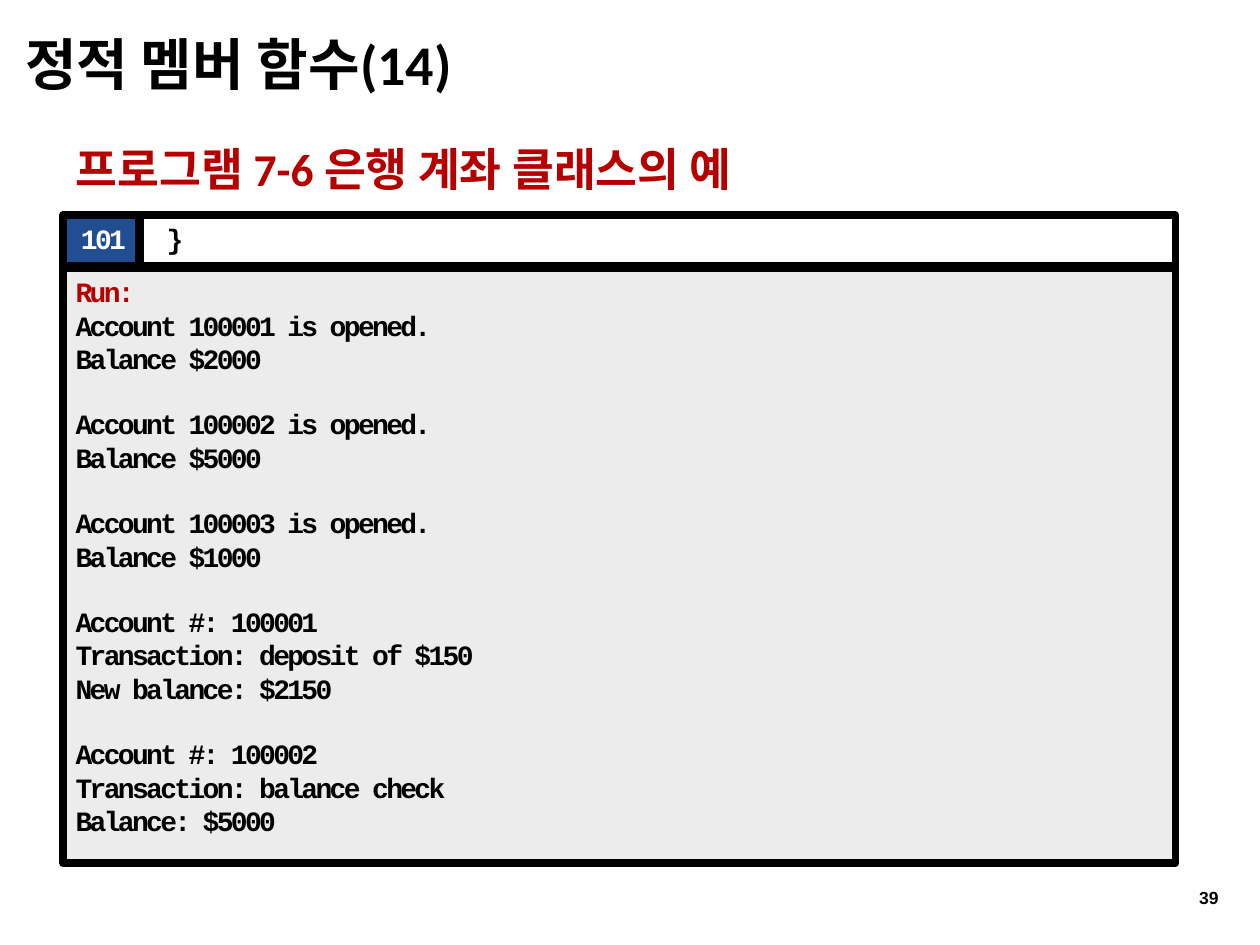
"""Build the slide with the run output of the bank account program."""
from lxml import etree
from pptx import Presentation
from pptx.dml.color import RGBColor
from pptx.enum import text
from pptx.oxml import ns
from pptx.util import Inches, Pt


def color(value):
    return RGBColor.from_string(value)


def write(part, box, lines, style, tracking=None):
    part.left, part.top, part.width, part.height = map(Inches, box)
    frame = part.text_frame
    frame.word_wrap = True
    frame.auto_size = text.MSO_AUTO_SIZE.NONE
    frame.vertical_anchor = style["anchor"]
    for number, (words, ink, before) in enumerate(lines):
        line = frame.paragraphs[0] if number == 0 else frame.add_paragraph()
        formats = {"alignment": style["align"], "line_spacing": 1.0,
                   "space_before": Pt(before), "space_after": Pt(style.get("after", 0))}
        for name, value in formats.items():
            setattr(line, name, value)
        properties = line._p.get_or_add_pPr()
        properties.set("marL", str(Inches(style.get("indent", 0))))
        properties.set("indent", "0")
        etree.SubElement(properties, ns.qn("a:buNone"))
        run = line.add_run()
        run.text = words
        for name, value in {"name": style["font"], "size": Pt(style["size"]), "bold": True}.items():
            setattr(run.font, name, value)
        run.font.color.rgb = color(ink)
        if tracking:
            run._r.get_or_add_rPr().set("spc", str(tracking))


BLACK, RED, WHITE = "000000", "B60000", "FFFFFF"
LEFT, RIGHT = text.PP_ALIGN.LEFT, text.PP_ALIGN.RIGHT
TOP, MIDDLE = text.MSO_ANCHOR.TOP, text.MSO_ANCHOR.MIDDLE

deck = Presentation()
deck.slide_width, deck.slide_height = Inches(10), Inches(7.5)
slide = deck.slides.add_slide(deck.slide_layouts.get_by_name("Comparison"))
title, caption, line_number, code, output = [
    slide.placeholders[index] for index in range(5)]

write(title, (0, 0, 10, 1), [("정적 멤버 함수(14)", BLACK, 0)],
      {"font": "Calibri", "size": 32, "align": LEFT, "anchor": MIDDLE, "indent": 0.1})
write(caption, (0.5, 1.07, 8.72, 0.47), [("프로그램 7-6 은행 계좌 클래스의 예", RED, 6)],
      {"font": "Calibri", "size": 26, "align": LEFT, "anchor": TOP, "after": 6})

groups = [
    ["Account 100001 is opened.", "Balance $2000"],
    ["Account 100002 is opened.", "Balance $5000"],
    ["Account 100003 is opened.", "Balance $1000"],
    ["Account #: 100001", "Transaction: deposit of $150", "New balance: $2150"],
    ["Account #: 100002", "Transaction: balance check", "Balance: $5000"],
]
run_lines = [("Run:", RED, 0)]
for order, group in enumerate(groups):
    for position, words in enumerate(group):
        run_lines.append((words, BLACK, 18 if order and position == 0 else 0))

panels = [
    (line_number, (0.5, 1.71, 0.6, 0.4), "214E91", RIGHT, [("101", WHITE, 0)]),
    (code, (1.11, 1.71, 8.22, 0.4), None, LEFT, [(" }", BLACK, 0)]),
    (output, (0.5, 2.13, 8.83, 4.72), "ECECEC", LEFT, run_lines),
]
for panel, box, fill, align, lines in panels:
    write(panel, box, lines,
          {"font": "Courier New", "size": 16, "align": align, "anchor": TOP}, tracking=-150)
    if fill:
        panel.fill.solid()
        panel.fill.fore_color.rgb = color(fill)
    panel.line.width = Pt(4.5)
    panel.line.color.rgb = color(BLACK)

page_number = slide.shapes.add_textbox(0, 0, 0, 0)
write(page_number, (7.52, 6.92, 2.25, 0.4), [("39", BLACK, 0)],
      {"font": "Arial", "size": 10, "align": RIGHT, "anchor": MIDDLE})

deck.save("out.pptx")
